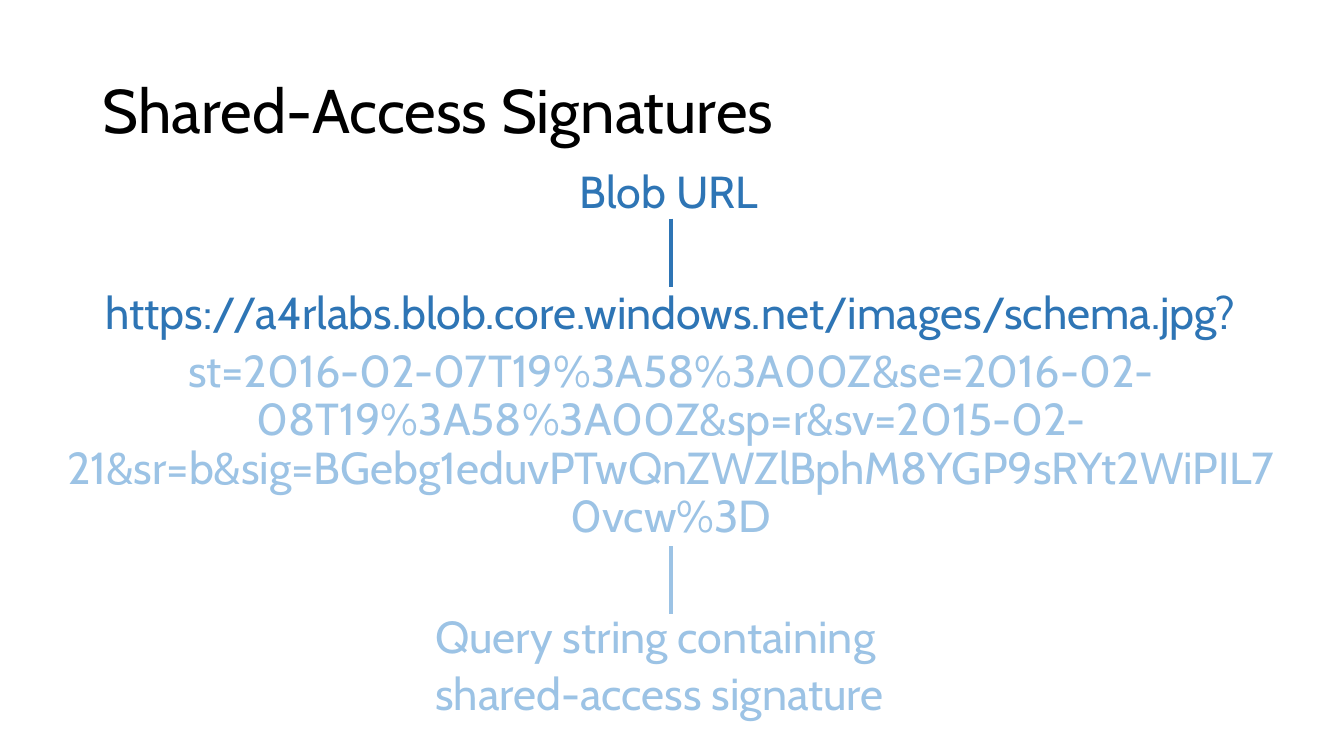
from dataclasses import dataclass

from lxml.etree import SubElement
from pptx import Presentation
from pptx.dml.color import RGBColor as RGB
from pptx.enum.shapes import MSO_CONNECTOR as Link
from pptx.enum.text import MSO_ANCHOR as Anchor, MSO_AUTO_SIZE as Fit, PP_ALIGN as Align
from pptx.oxml.ns import qn
from pptx.util import Cm, Pt


@dataclass(frozen=True)
class Theme:
    font: str = "Cabin"
    ink: str = "000000"
    dark: str = "2E75B5"
    light: str = "9CC3E5"
    head: int = 44
    body: int = 32
    rule: float = 2.25
    lead: float = 0.9
    gap: float = 6.4


def assign(item, values):
    for name, value in values.items():
        setattr(item, name, value)


class Deck:
    def __init__(self, theme):
        self.theme = theme
        self.file = Presentation()
        assign(self.file, {"slide_width": Cm(33.87), "slide_height": Cm(19.05)})
        self.slide = self.file.slides.add_slide(self.file.slide_layouts[5])

    def fill(self, frame, lines, size):
        """Write (text, colour, alignment) lines into a text frame."""
        for i, (text, color, align) in enumerate(lines):
            para = frame.paragraphs[0] if i == 0 else frame.add_paragraph()
            assign(para, {"alignment": align, "line_spacing": self.theme.lead,
                          "space_before": Pt(self.theme.gap if i else 0)})
            run = para.add_run()
            run.text = text
            assign(run.font, {"name": self.theme.font, "size": Pt(size)})
            run.font.color.rgb = RGB.from_string(color)

    def title(self, text, box):
        shape = self.slide.shapes.title
        assign(shape, dict(zip(("left", "top", "width", "height"), map(Cm, box))))
        assign(shape.text_frame, {"vertical_anchor": Anchor.MIDDLE, "word_wrap": True})
        self.fill(shape.text_frame, [(text, self.theme.ink, Align.LEFT)], self.theme.head)

    def text(self, lines, box, wrap=True):
        shape = self.slide.shapes.add_textbox(*map(Cm, box))
        frame = shape.text_frame
        assign(frame, {"margin_left": 0, "margin_top": 0, "margin_right": 0,
                       "margin_bottom": 0, "word_wrap": wrap,
                       "auto_size": Fit.SHAPE_TO_FIT_TEXT})
        self.fill(frame, lines, self.theme.body)
        return shape

    def drop(self, shape, end, color):
        """Draw a vertical line from the bottom middle of a shape."""
        mid = shape.left + shape.width // 2
        line = self.slide.shapes.add_connector(
            Link.STRAIGHT, mid, shape.top + shape.height, mid, Cm(end))
        line.begin_connect(shape, 2)
        line.line.color.rgb = RGB.from_string(color)
        line.line.width = Pt(self.theme.rule)
        SubElement(line._element.spPr, qn("a:effectLst"))


def main():
    theme = Theme()
    deck = Deck(theme)
    deck.title("Shared-Access Signatures", (2.34, 1.02, 29.21, 3.68))
    url = deck.text([
        ("https://a4rlabs.blob.core.windows.net/images/schema.jpg?",
         theme.dark, Align.CENTER),
        ("st=2016-02-07T19%3A58%3A00Z&se=2016-02-08T19%3A58%3A00Z&sp=r"
         "&sv=2015-02-21&sr=b&sig=BGebg1eduvPTwQnZWZlBphM8YGP9sRYt2WiPIL70vcw%3D",
         theme.light, Align.CENTER),
    ], (1.42, 7.34, 30.98, 6.43))
    blob = deck.text([("Blob URL", theme.dark, Align.LEFT)], (14.61, 4.29, 4.6, 1.22))
    deck.text([
        ("Query string containing", theme.light, Align.LEFT),
        ("shared-access signature", theme.light, Align.CENTER),
    ], (10.97, 15.49, 11.91, 2.74), wrap=False)
    deck.drop(blob, 7.24, theme.dark)
    deck.drop(url, 15.47, theme.light)
    deck.file.save("out.pptx")


if __name__ == "__main__":
    main()
